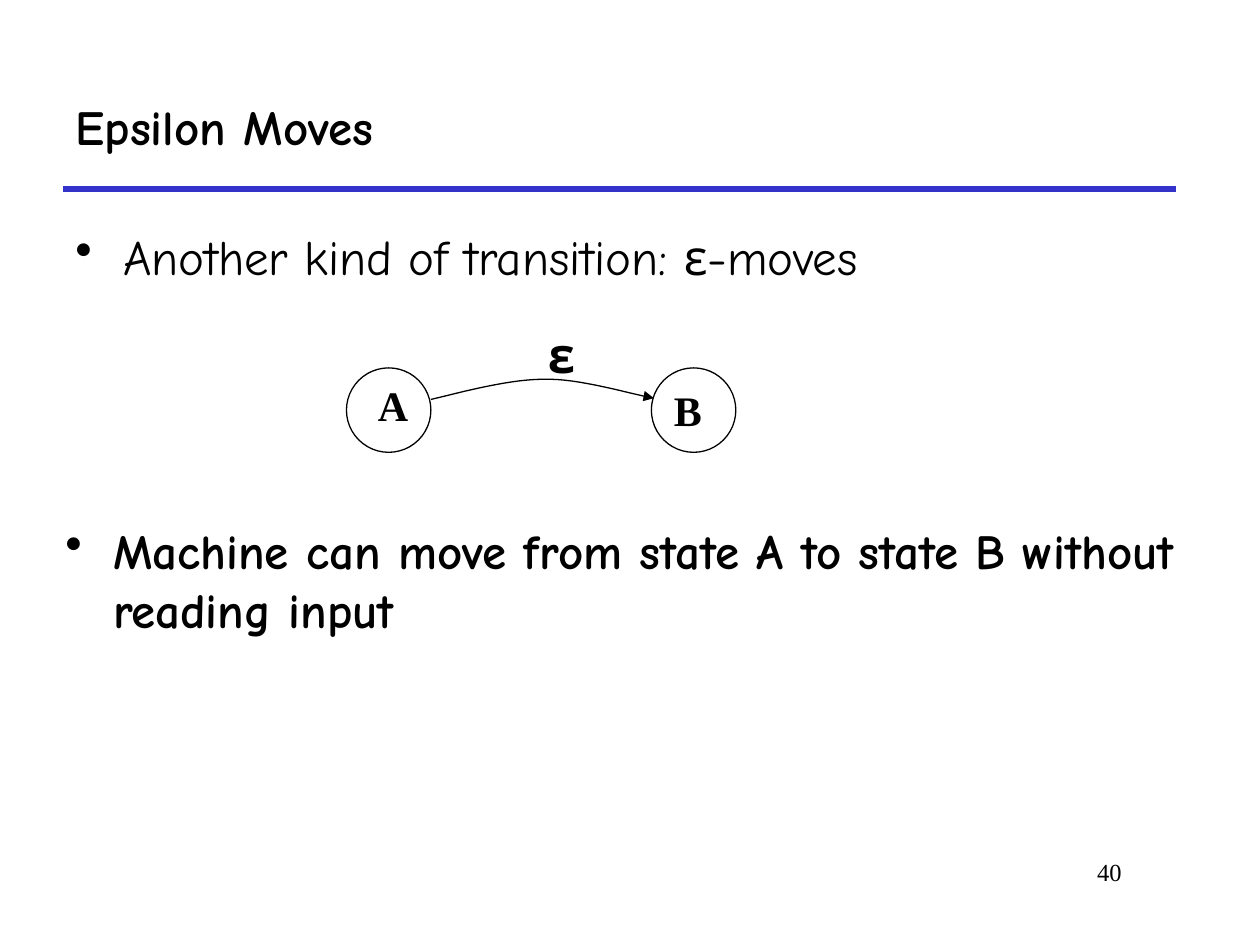
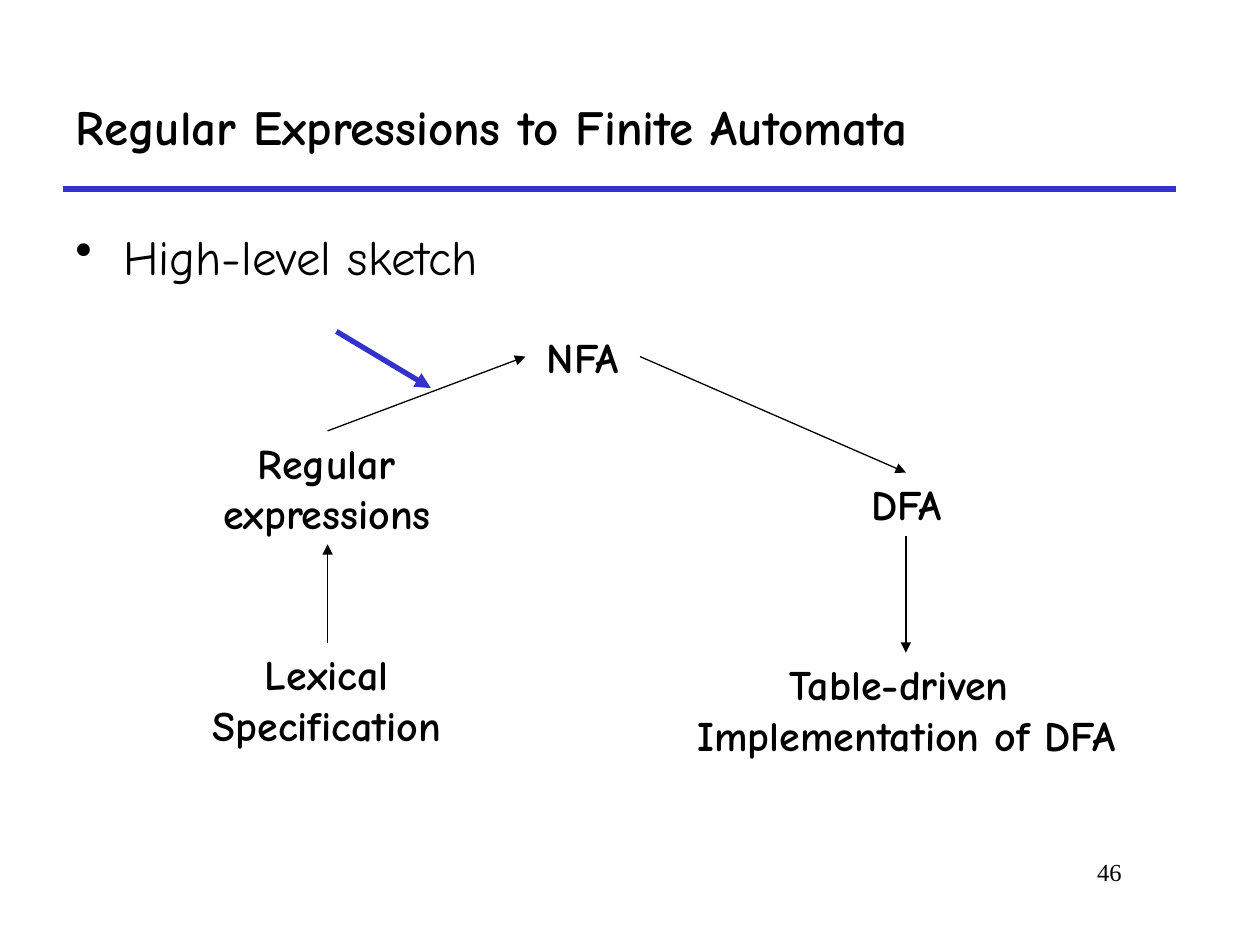
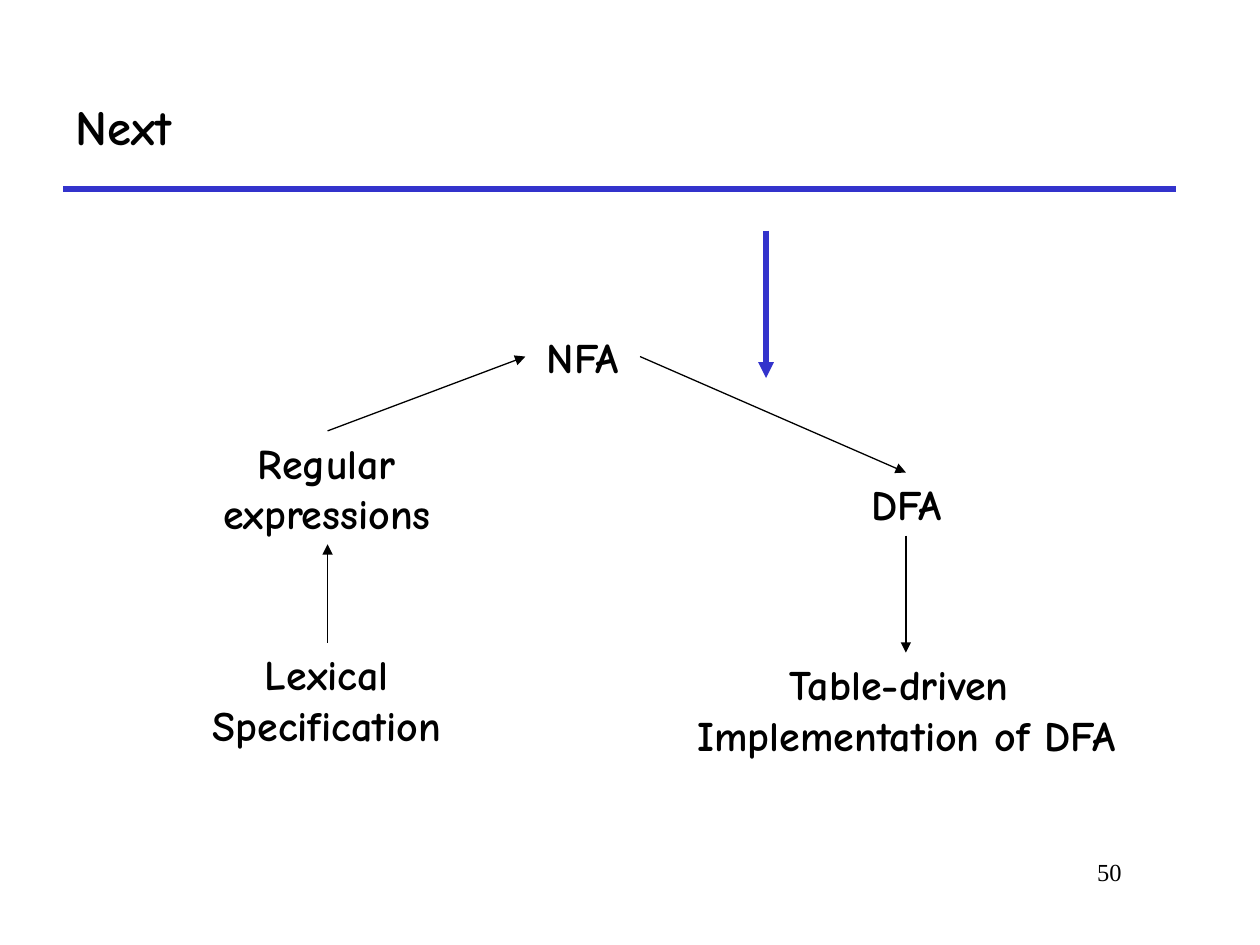
from lxml import etree
from pptx import Presentation
from pptx.dml.color import RGBColor
from pptx.enum.shapes import MSO_CONNECTOR, MSO_SHAPE
from pptx.enum.text import MSO_ANCHOR, MSO_AUTO_SIZE, PP_ALIGN
from pptx.oxml.ns import qn
from pptx.util import Inches, Pt

LEFT, CENTER, RIGHT = PP_ALIGN.LEFT, PP_ALIGN.CENTER, PP_ALIGN.RIGHT
STRAIGHT = MSO_CONNECTOR.STRAIGHT
OVAL = MSO_SHAPE.OVAL
MIDDLE = MSO_ANCHOR.MIDDLE
NO_FIT, GROW = MSO_AUTO_SIZE.NONE, MSO_AUTO_SIZE.SHAPE_TO_FIT_TEXT

COLORS = {"text": "000000", "accent": "3333CC"}
HAND, SERIF = "Comic Neue", "Times New Roman"
BLACK = RGBColor.from_string(COLORS["text"])
TITLE_ONLY = 5
BULLET_INDENT = Inches(0.38)


def add_text(slide, text, box, size, font=HAND, bold=True, align=LEFT, wrap=False, bullet=False):
    """Add a text box with one paragraph for each line of text."""
    text_box = slide.shapes.add_textbox(*[Inches(length) for length in box])
    text_frame = text_box.text_frame
    text_frame.word_wrap = wrap
    text_frame.auto_size = NO_FIT if wrap else GROW
    text_frame.text = text
    for paragraph in text_frame.paragraphs:
        paragraph.alignment = align
        if bullet:
            properties = paragraph._p.get_or_add_pPr()
            properties.set("marL", str(BULLET_INDENT))
            properties.set("indent", str(-BULLET_INDENT))
            etree.SubElement(properties, qn("a:buChar"), char="•")
        for run in paragraph.runs:
            run.font.name = font
            run.font.size = Pt(size)
            run.font.bold = bold
            run.font.color.rgb = BLACK


def add_line(slide, start, end, color="text", width=0.75, arrow=True):
    line = slide.shapes.add_connector(STRAIGHT, *[Inches(length) for length in start + end])
    line.line.color.rgb = RGBColor.from_string(COLORS[color])
    line.line.width = Pt(width)
    if arrow:
        etree.SubElement(line.line._get_or_add_ln(), qn("a:tailEnd"), type="triangle")
    etree.SubElement(line._element.spPr, qn("a:effectLst"))


presentation = Presentation()
presentation.slide_width = Inches(10)
presentation.slide_height = Inches(7.5)

# Title, rule and page number on every slide
slides = []
for title_text, page_number in [
    ("Epsilon Moves", "40"),
    ("Regular Expressions to Finite Automata", "46"),
    ("Next", "50"),
]:
    slide = presentation.slides.add_slide(presentation.slide_layouts[TITLE_ONLY])
    slides.append(slide)
    title = slide.shapes.title
    title.left, title.top = Inches(0.5), Inches(0.5)
    title.width, title.height = Inches(8.83), Inches(1)
    title.text_frame.text = title_text
    title.text_frame.vertical_anchor = MIDDLE
    title.text_frame.auto_size = NO_FIT
    paragraph = title.text_frame.paragraphs[0]
    paragraph.alignment = LEFT
    font = paragraph.runs[0].font
    font.name, font.size, font.bold = HAND, Pt(28), True
    font.color.rgb = BLACK
    add_line(slide, (0.5, 1.5), (9.33, 1.5), "accent", 3, arrow=False)
    add_text(slide, page_number, (7.58, 6.75, 1.42, 0.5), 14, SERIF, bold=False, align=RIGHT, wrap=True)

epsilon_slide, sketch_slide, next_slide = slides

# Epsilon move from state A to state B
add_text(epsilon_slide, "Another kind of transition: ε-moves", (0.5, 1.75, 9.08, 0.75), 28,
         bold=False, wrap=True, bullet=True)
for state_left in (2.75, 5.17):
    state = epsilon_slide.shapes.add_shape(OVAL, Inches(state_left), Inches(2.92), Inches(0.67), Inches(0.67))
    state.shadow.inherit = False
    state.fill.background()
    state.line.color.rgb = BLACK
    state.line.width = Pt(0.75)

# The transition arc joins two cubic curves, sampled into short segments
arc_curves = [
    [(3.42, 3.17), (3.56, 3.14), (4.01, 3.01), (4.31, 3.01)],
    [(4.31, 3.01), (4.6, 3), (5.01, 3.13), (5.19, 3.16)],
]
STEPS = 16
arc_points = []
for curve in arc_curves:
    for step in range(1, STEPS + 1):
        t = step / STEPS
        weights = ((1 - t) ** 3, 3 * t * (1 - t) ** 2, 3 * t ** 2 * (1 - t), t ** 3)
        arc_points.append(tuple(
            Inches(sum(weight * point[axis] for weight, point in zip(weights, curve))) for axis in (0, 1)
        ))
builder = epsilon_slide.shapes.build_freeform(Inches(3.42), Inches(3.17))
builder.add_line_segments(arc_points, close=False)
arc = builder.convert_to_shape()
arc.shadow.inherit = False
arc.fill.background()
arc.line.color.rgb = BLACK
arc.line.width = Pt(0.75)
etree.SubElement(arc.line._get_or_add_ln(), qn("a:tailEnd"), type="triangle")

add_text(epsilon_slide, "ε", (4.25, 2.53, 0.37, 0.57), 28)
add_text(epsilon_slide, "Machine can move from state A to state B without reading input",
         (0.42, 4.08, 9.08, 1.08), 28, wrap=True, bullet=True)
add_text(epsilon_slide, "A", (2.9, 2.96, 0.44, 0.5), 24, SERIF)
add_text(epsilon_slide, "B", (5.25, 3, 0.42, 0.5), 24, SERIF)

# Pipeline from specification to implementation, on two slides
add_text(sketch_slide, "High-level sketch", (0.5, 1.75, 9.08, 0.58), 28, bold=False, wrap=True, bullet=True)
stages = [
    ("Regular\nexpressions", (1.58, 3.42, 2.03, 0.9)),
    ("NFA", (4.17, 2.58, 0.91, 0.5)),
    ("DFA", (6.75, 3.75, 0.89, 0.5)),
    ("Lexical\nSpecification", (1.46, 5.1, 2.27, 0.9)),
    ("Table-driven \nImplementation of DFA", (5.26, 5.18, 3.87, 0.9)),
]
stage_arrows = [
    ((2.6, 5.1), (2.6, 4.32)),
    ((2.6, 3.42), (4.17, 2.83)),
    ((5.08, 2.83), (7.19, 3.75)),
    ((7.19, 4.25), (7.19, 5.18)),
]
for slide in (sketch_slide, next_slide):
    for stage_text, box in stages:
        add_text(slide, stage_text, box, 24, align=CENTER)
    for start, end in stage_arrows:
        add_line(slide, start, end)

# Pointers to the step under discussion
add_line(sketch_slide, (2.67, 2.63), (3.42, 3.08), "accent", 3)
add_line(next_slide, (6.08, 1.83), (6.08, 3), "accent", 3)

presentation.save("out.pptx")
